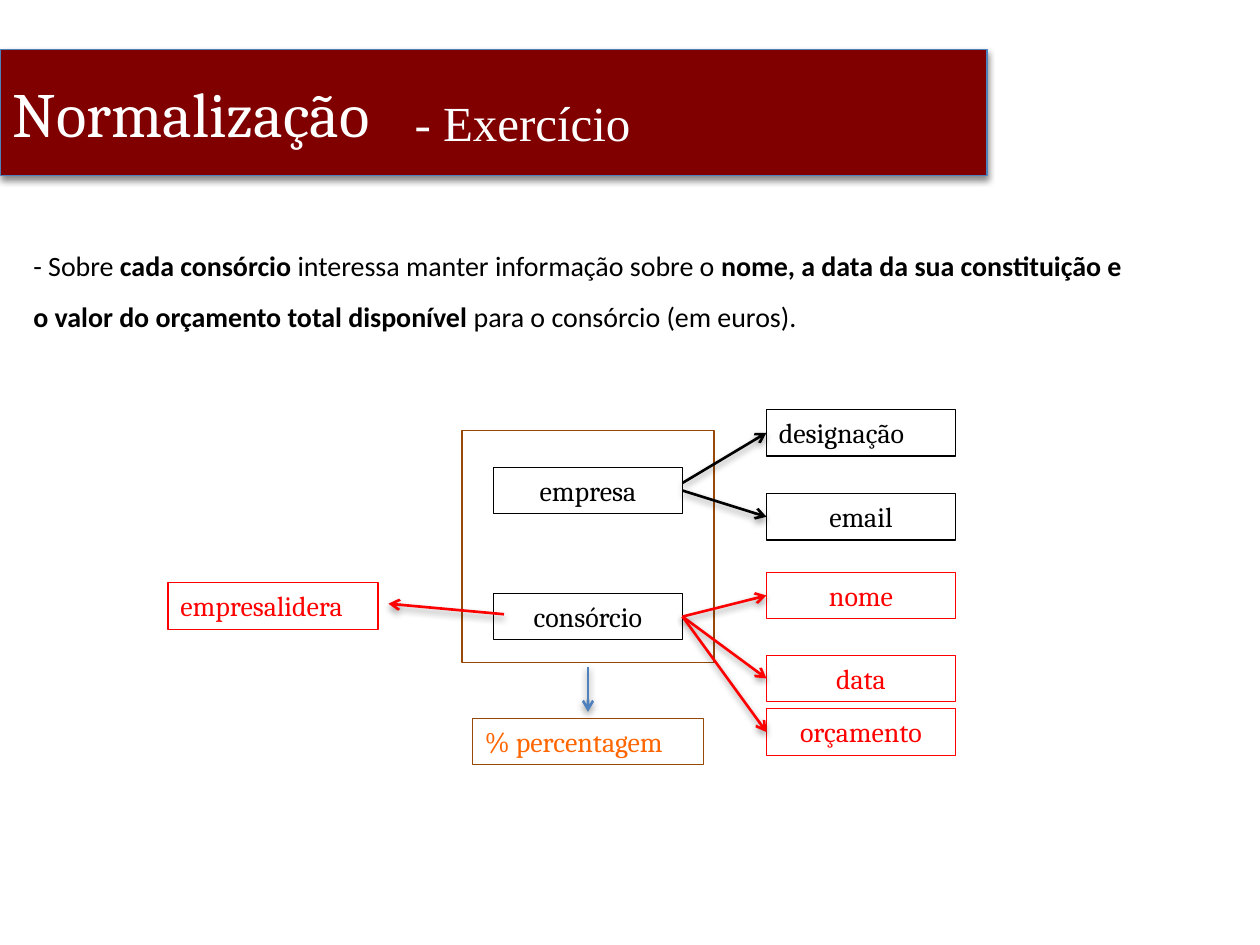
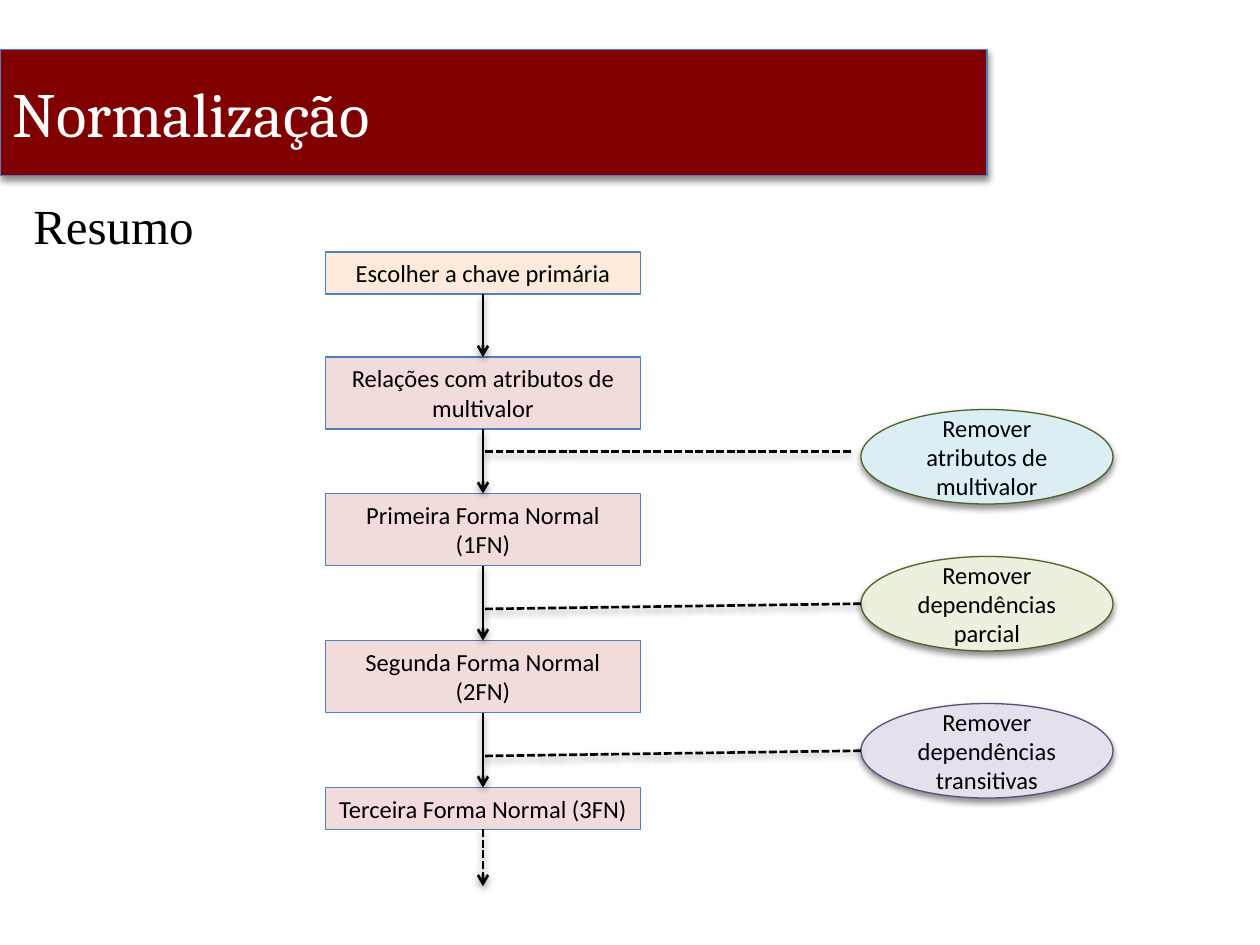
import pptx
import pptx.util
import pptx.dml.color
import pptx.enum.dml
import pptx.enum.shapes
import pptx.enum.text
import pptx.oxml.ns
import lxml.etree

# ---- Shared look; every length is in grid cells of 1/12 inch ----
CELL = 1 / 12
BLACK, WHITE, RED, BLUE = "000000", "FFFFFF", "FF0000", "4F81BD"
BROWN, ORANGE, MAROON = "984807", "FF6600", "800000"
PINK, PEACH, GREEN = "F2DCDB", "FDEADA", "4F6228"
SHAPES = pptx.enum.shapes.MSO_SHAPE
ALIGN = pptx.enum.text.PP_ALIGN
ANCHOR = pptx.enum.text.MSO_ANCHOR
DASH = pptx.enum.dml.MSO_LINE.SQUARE_DOT
TOP, LEFT, BOTTOM, RIGHT = range(4)

BAND = (0, 4.7, 94, 12)
BAND_TITLE = "Normalização"
TITLE_FONT = {"name": "Cambria", "size": 36}
HEADING_FONT = {"name": "Times New Roman", "size": 28}
BODY_FONT = {"name": "Calibri", "size": 16}
ENTITY_FONT = {"name": "Cambria", "size": 16}
STEP_FONT = {"name": "Calibri", "size": 14}

# ---- Slide 1 content: exercise diagram ----
SUBTITLE = "- Exercício"
STATEMENT = [
    ("- Sobre ", False),
    ("cada consórcio ", True),
    ("interessa manter informação sobre o ", False),
    ("nome, a data da sua constituição e o valor do orçamento total disponível ", True),
    ("para o consórcio (em euros).", False),
]
FRAME = (44, 41, 24, 22.1)
ENTITY_HEIGHT = 4.44
# label: left, top, width, line colour, text colour, alignment
ENTITIES = {
    "empresa": (47, 44.5, 18, BLACK, BLACK, ALIGN.CENTER),
    "consórcio": (47, 56.5, 18, BLACK, BLACK, ALIGN.CENTER),
    "% percentagem": (45, 68.4, 22, BROWN, ORANGE, ALIGN.LEFT),
    "empresalidera": (16, 55.5, 20, RED, RED, ALIGN.LEFT),
    "designação": (73, 39, 18, BLACK, BLACK, ALIGN.LEFT),
    "email": (73, 47, 18, BLACK, BLACK, ALIGN.CENTER),
    "nome": (73, 54.5, 18, RED, RED, ALIGN.CENTER),
    "data": (73, 62.4, 18, RED, RED, ALIGN.CENTER),
    "orçamento": (73, 67.5, 18, RED, RED, ALIGN.CENTER),
}
# An end is a point or an (entity, side) pair
ENTITY_ARROWS = [
    ((48, 58.5), (37, 57.5), RED),
    ((56, 63.5), (56, 67.8), BLUE),
    (("empresa", RIGHT), ("email", LEFT), BLACK),
    ((65, 46), ("designação", LEFT), BLACK),
    (("consórcio", RIGHT), ("nome", LEFT), RED),
    (("consórcio", RIGHT), ("data", LEFT), RED),
    (("consórcio", RIGHT), ("orçamento", LEFT), RED),
]

# ---- Slide 2 content: summary flow ----
SUMMARY = "Resumo"
STEP_LEFT, STEP_WIDTH = 31, 30
STEP_CENTRE = STEP_LEFT + STEP_WIDTH / 2
FLOW_END = 84.4
STEPS = [  # label, top, height, fill
    ("Escolher a chave primária", 24, 4, PEACH),
    ("Relações com atributos de multivalor", 34, 6.88, PINK),
    ("Primeira Forma Normal (1FN)", 47, 6.88, PINK),
    ("Segunda Forma Normal (2FN)", 61, 6.88, PINK),
    ("Terceira Forma Normal (3FN)", 75, 4, PINK),
]
ACTION_LEFT, ACTION_TOP, ACTION_PITCH = 82, 39, 14
ACTION_WIDTH, ACTION_HEIGHT = 24, 9
ACTIONS = [  # label, fill, line, link start (column and row), link end row
    ("Remover atributos de multivalor", "DBEEF4", GREEN, (81, 43), 43),
    ("Remover dependências parcial", "EBF1DE", GREEN, (82, 57.5), 58),
    ("Remover dependências transitivas", "E6E0EC", "604A7B", (82, 71.5), 72),
]


# ---- Helpers ----
def cells(*counts):
    return [pptx.util.Inches(count * CELL) for count in counts]


def colour(value):
    return pptx.dml.color.RGBColor.from_string(value)


def sub(parent, tag, **attributes):
    return lxml.etree.SubElement(parent, pptx.oxml.ns.qn(tag), attributes)


def add_shadow(effects, opacity):
    shadow = sub(effects, "a:outerShdw", blurRad="50800", dist="25400",
                 dir="5400000", rotWithShape="0")
    sub(sub(shadow, "a:srgbClr", val=BLACK), "a:alpha", val=str(opacity * 1000))


def write(shape, spans, font, ink, align=ALIGN.LEFT, anchor=ANCHOR.TOP, spacing=None):
    frame = shape.text_frame
    for name, value in {"word_wrap": True, "vertical_anchor": anchor}.items():
        setattr(frame, name, value)
    para = frame.paragraphs[0]
    for name, value in {"alignment": align, "line_spacing": spacing}.items():
        setattr(para, name, value)
    for text, bold in spans:
        span = para.add_run()
        span.text = text
        look = {**font, "size": pptx.util.Pt(font["size"]), "bold": bold}
        for name, value in look.items():
            setattr(span.font, name, value)
        span.font.color.rgb = colour(ink)


def add_box(page, area, line, fill=None, kind=SHAPES.RECTANGLE, shadow=False):
    box = page.shapes.add_shape(kind, *cells(*area))
    box.shadow.inherit = False
    if fill:
        box.fill.solid()
        box.fill.fore_color.rgb = colour(fill)
    else:
        box.fill.background()
    box.line.color.rgb = colour(line)
    box.line.width = pptx.util.Pt(0.75)
    if shadow:
        add_shadow(box._element.spPr.find(pptx.oxml.ns.qn("a:effectLst")), 45)
    return box


def add_text(page, area, spans, font, ink, **layout):
    box = page.shapes.add_textbox(*cells(*area))
    write(box, spans, font, ink, **layout)


def add_link(page, start, end, ink=BLACK, arrow=True, dash=None):
    """Draw a line; each end is a grid point or a (shape, side) pair."""
    points = [(0, 0) if hasattr(stop[0], "shape_id") else stop for stop in (start, end)]
    link = page.shapes.add_connector(
        pptx.enum.shapes.MSO_CONNECTOR.STRAIGHT, *cells(*points[0], *points[1]))
    for stop, join in ((start, link.begin_connect), (end, link.end_connect)):
        if hasattr(stop[0], "shape_id"):
            join(*stop)
    link.line.color.rgb = colour(ink)
    link.line.width = pptx.util.Pt(1.5)
    if dash:
        link.line.dash_style = dash
    if arrow:
        sub(link.line._get_or_add_ln(), "a:tailEnd", type="arrow")
    add_shadow(sub(link._element.spPr, "a:effectLst"), 40)


def add_page(deck):
    page = deck.slides.add_slide(deck.slide_layouts[6])
    band = add_box(page, BAND, BLUE, MAROON, shadow=True)
    write(band, [(BAND_TITLE, False)], TITLE_FONT, WHITE, anchor=ANCHOR.MIDDLE)
    return page


# ---- Slides ----
def build_exercise(deck):
    page = add_page(deck)
    add_text(page, (2, 21.5, 108, 10.7), STATEMENT, BODY_FONT, BLACK, spacing=1.5)
    add_box(page, FRAME, BROWN)
    boxes = {}
    for label, (left, top, width, line, ink, align) in ENTITIES.items():
        boxes[label] = add_box(page, (left, top, width, ENTITY_HEIGHT), line)
        write(boxes[label], [(label, False)], ENTITY_FONT, ink, align)
    for start, end, ink in ENTITY_ARROWS:
        stops = [(boxes.get(first, first), second) for first, second in (start, end)]
        add_link(page, *stops, ink)
    add_text(page, (38.3, 8.2, 52.7, 7.9), [(SUBTITLE, False)], HEADING_FONT, WHITE)


def build_summary(deck):
    page = add_page(deck)
    add_text(page, (2, 18, 108, 12), [(SUMMARY, False)], HEADING_FONT, BLACK)
    # Steps joined from top to bottom
    boxes = []
    for label, top, height, fill in STEPS:
        box = add_box(page, (STEP_LEFT, top, STEP_WIDTH, height), BLUE, fill)
        write(box, [(label, False)], STEP_FONT, BLACK, ALIGN.CENTER)
        boxes.append(box)
    for upper, lower in zip(boxes, boxes[1:]):
        add_link(page, (upper, BOTTOM), (lower, TOP))
    add_link(page, (boxes[-1], BOTTOM), (STEP_CENTRE, FLOW_END), dash=DASH)
    # Actions between steps
    for row, (label, fill, line, start, end_row) in enumerate(ACTIONS):
        top = ACTION_TOP + row * ACTION_PITCH
        oval = add_box(page, (ACTION_LEFT, top, ACTION_WIDTH, ACTION_HEIGHT),
                       line, fill, SHAPES.OVAL, shadow=True)
        write(oval, [(label, False)], STEP_FONT, BLACK, ALIGN.CENTER, ANCHOR.MIDDLE)
        add_link(page, start, (STEP_CENTRE, end_row), arrow=False, dash=DASH)


def main():
    deck = pptx.Presentation()
    deck.slide_width, deck.slide_height = cells(120, 90)
    build_exercise(deck)
    build_summary(deck)
    deck.save("out.pptx")


if __name__ == "__main__":
    main()
